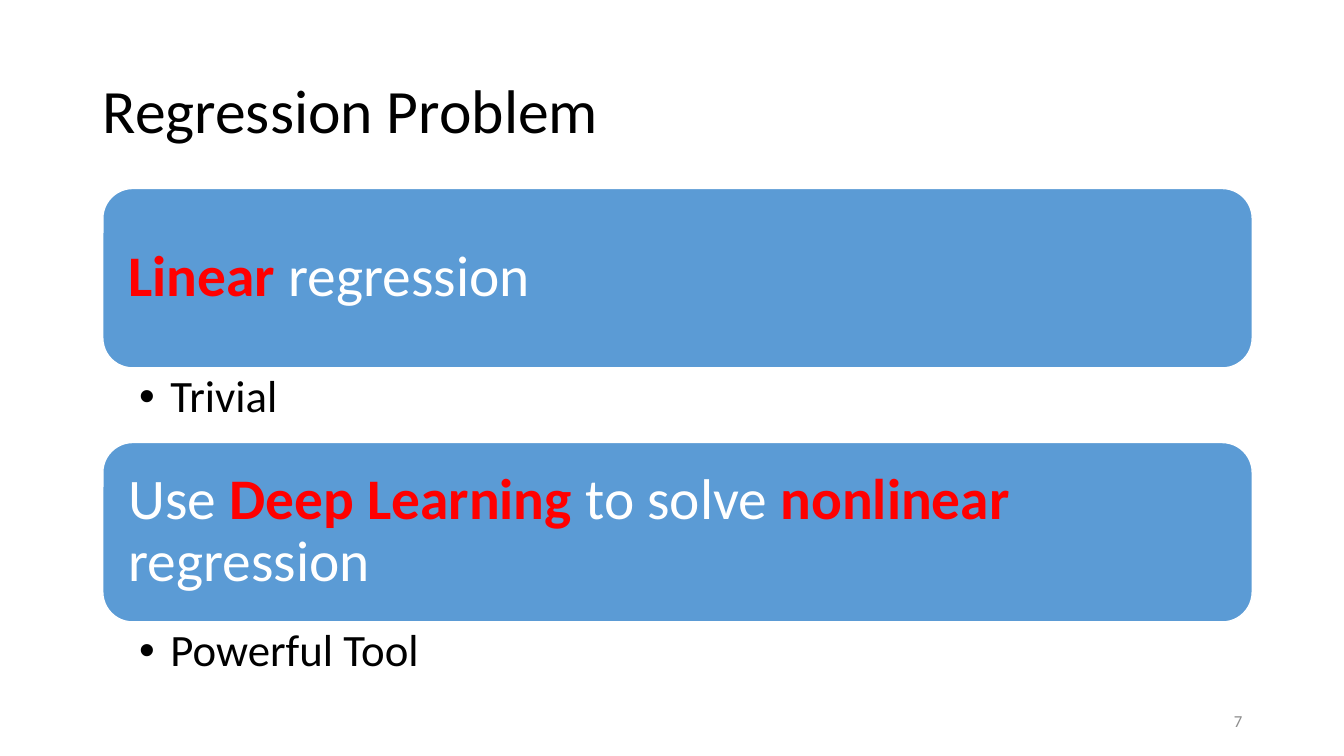
from lxml import etree
from pptx import Presentation, util as u
from pptx.dml.color import RGBColor
from pptx.enum import shapes, text
from pptx.oxml.ns import qn

BLACK, WHITE, RED, BLUE, GRAY = "000000", "FFFFFF", "FF0000", "5B9BD5", "8C8C8C"


def color(value):
    return RGBColor.from_string(value)


class SlideBuilder:
    font = "Calibri"

    def __init__(self, slide):
        self.slide = slide

    def fill_text(self, shape, parts, size, insets=(0.1, 0.05, 0.1, 0.05),
                  anchor=text.MSO_ANCHOR.MIDDLE, align=text.PP_ALIGN.LEFT, spacing=0.9):
        frame = shape.text_frame
        frame.word_wrap = True
        frame.vertical_anchor = anchor
        frame.margin_left, frame.margin_top, frame.margin_right, frame.margin_bottom = map(u.Inches, insets)
        paragraph = frame.paragraphs[0]
        paragraph.alignment = align
        paragraph.line_spacing = spacing
        for content, tone, bold in parts:
            run = paragraph.add_run()
            run.text = content
            run.font.name = self.font
            run.font.size = u.Pt(size)
            run.font.bold = bold
            run.font.color.rgb = color(tone)
        return paragraph

    def label(self, box, content, size, tone=BLACK, **layout):
        shape = self.slide.shapes.add_textbox(*map(u.Inches, box))
        return self.fill_text(shape, [(content, tone, False)], size, **layout)

    def panel(self, box, parts):
        shape = self.slide.shapes.add_shape(shapes.MSO_SHAPE.ROUNDED_RECTANGLE, *map(u.Inches, box))
        shape.shadow.inherit = False
        shape.fill.solid()
        shape.fill.fore_color.rgb = color(BLUE)
        shape.line.color.rgb = color(WHITE)
        shape.line.width = u.Pt(1)
        self.fill_text(shape, parts, 41, insets=(0.17,) * 4)

    def bullet(self, box, content):
        paragraph = self.label(box, content, 32, insets=(0.36, 0.06, 0.32, 0.06),
                               anchor=text.MSO_ANCHOR.TOP)
        properties = paragraph._p.get_or_add_pPr()
        properties.set("marL", str(u.Inches(0.31)))
        properties.set("indent", str(-u.Inches(0.31)))
        etree.SubElement(properties, qn("a:buFont")).set("typeface", "Arial")
        etree.SubElement(properties, qn("a:buChar")).set("char", "•")


def main():
    deck = Presentation()
    deck.slide_width, deck.slide_height = u.Inches(13.33), u.Inches(7.5)
    builder = SlideBuilder(deck.slides.add_slide(deck.slide_layouts[6]))
    builder.label((0.92, 0.4, 11.5, 1.45), "Regression Problem", 44)

    topics = [
        ([("Linear", RED, True), (" regression", WHITE, False)], "Trivial"),
        ([("Use ", WHITE, False), ("Deep Learning ", RED, True), ("to solve ", WHITE, False),
          ("nonlinear", RED, True), (" regression", WHITE, False)], "Powerful Tool"),
    ]
    left, top, width, panel_height, bullet_height = 1.02, 1.87, 11.4, 1.78, 0.74
    for index, (heading, remark) in enumerate(topics):
        panel_top = top + index * (panel_height + bullet_height)
        builder.panel((left, panel_top, width, panel_height), heading)
        builder.bullet((left, panel_top + panel_height, width, bullet_height), remark)

    builder.label((9.42, 6.95, 3, 0.4), "7", 12, GRAY, align=text.PP_ALIGN.RIGHT, spacing=1.0)
    deck.save("out.pptx")


if __name__ == "__main__":
    main()
